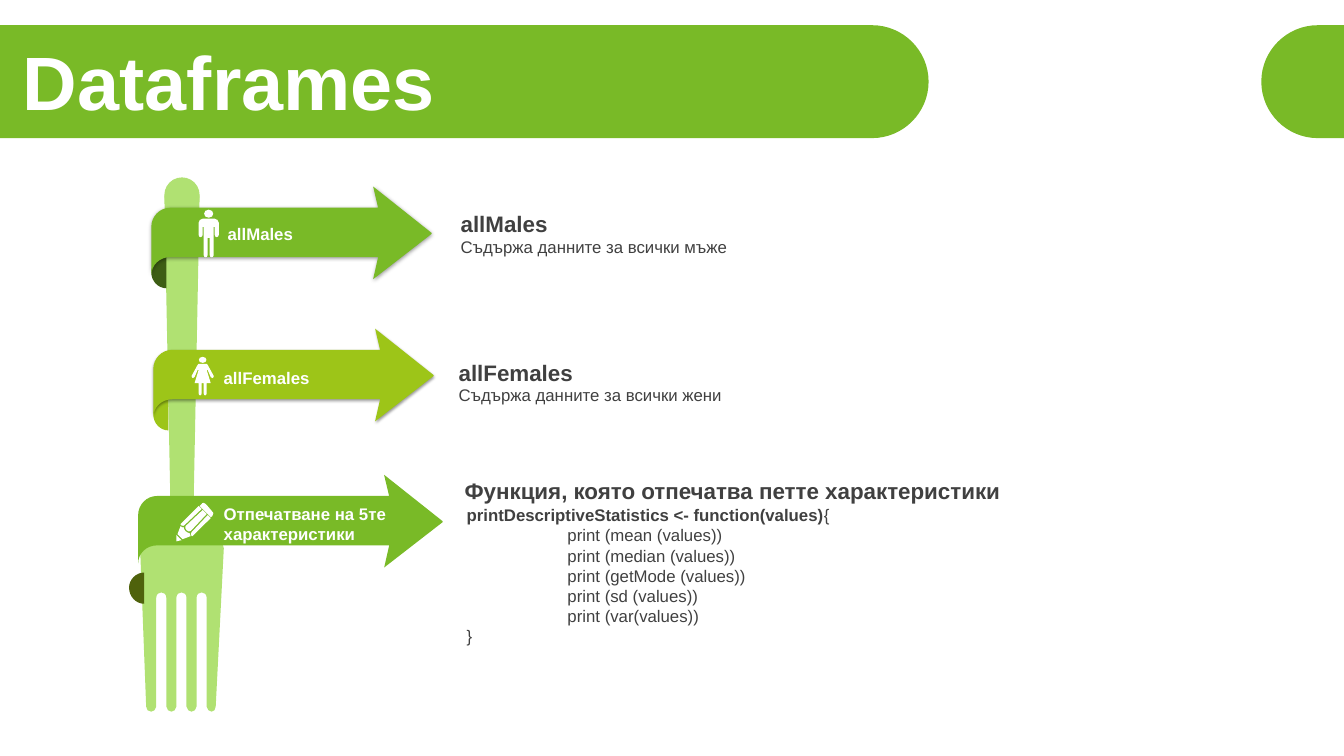
import math
import pptx
import pptx.util
import pptx.dml.color
import pptx.enum.shapes
import pptx.enum.text
import pptx.oxml.ns
import lxml.etree

Inches = pptx.util.Inches
RGBColor = pptx.dml.color.RGBColor
MSO_SHAPE = pptx.enum.shapes.MSO_SHAPE
qn = pptx.oxml.ns.qn

GREEN = RGBColor(0x79, 0xBA, 0x27)
LIME = RGBColor(0x9D, 0xC5, 0x18)
PALE = RGBColor(0xB0, 0xE1, 0x72)
DARK_GREEN = RGBColor(0x3D, 0x5D, 0x14)
OLIVE = RGBColor(0x4F, 0x62, 0x0C)
WHITE = RGBColor(0xFF, 0xFF, 0xFF)
GREY = RGBColor(0x40, 0x40, 0x40)

# Right halves of the two people: body, then head
MALE_HALF = """M 0 .09 L .06 .09 C .08 .09 .1 .11 .1 .13 L .1 .25
    C .1 .28 .06 .28 .06 .25 L .06 .17 L .05 .17 L .05 .45
    C .05 .48 .01 .48 .01 .45 L .01 .28 L 0 .28
    M 0 0 C .06 0 .06 .08 0 .08"""
FEMALE_HALF = """M 0 .07 L .04 .07 L .05 .08 L .11 .19 C .11 .22 .08 .21 .08 .2
    L .05 .13 L .04 .13 L .08 .26 L .04 .26 L .04 .36
    C .04 .39 .01 .39 .01 .36 L .01 .26 L 0 .26
    M 0 0 C .05 0 .05 .06 0 .06"""
PENCIL = """M 0 .32 L .05 .37 L 0 .38
    M .04 .23 C .05 .24 .07 .25 .07 .24 C .07 .25 .08 .27 .09 .28
    C .1 .29 .12 .3 .13 .3 C .13 .31 .13 .32 .14 .33 L .06 .36 L .01 .31
    M .31 .12 L .34 .15 L .16 .33 C .16 .33 .15 .33 .15 .33 C .14 .31 .14 .3 .15 .29
    M .26 .07 L .3 .11 L .14 .28 C .13 .29 .11 .28 .1 .27 C .09 .26 .08 .24 .09 .23
    M .22 .03 L .25 .06 L .08 .22 C .08 .23 .06 .23 .04 .22 L .04 .21
    M .27 0 C .28 0 .29 .01 .3 .02 L .35 .08 C .37 .09 .37 .11 .36 .12
    C .36 .13 .35 .14 .34 .14 L .23 .03 L .25 .01 C .25 0 .26 0 .27 0"""


def contours(d):
    """Read M, L and C commands into (points, kinds of segment) pairs."""
    result, tokens = [], iter(d.split())
    for command in tokens:
        pairs = 3 if command == "C" else 1
        pts = [(float(next(tokens)), float(next(tokens))) for _ in range(pairs)]
        if command == "M":
            result.append((pts, []))
        else:
            result[-1][0].extend(pts)
            result[-1][1].append(command)
    return result


def turned(point, angle):
    a, (x, y) = math.radians(angle), point
    return x * math.cos(a) - y * math.sin(a), x * math.sin(a) + y * math.cos(a)


def paint(sp, color):
    sp.shadow.inherit = False
    sp.fill.solid()
    sp.fill.fore_color.rgb = color
    sp.line.fill.background()
    return sp


def outline(s, x, y, parts, color, rotation=0):
    """Draw contours that appear at x, y, in a frame turned by rotation."""
    polygons = [[turned(pt, -rotation) for pt in pts] for pts, _ in parts]
    thousandths = [[(px * 1000, py * 1000) for px, py in pts] for pts in polygons]
    builder = s.shapes.build_freeform(*thousandths[0][0], scale=Inches(1) / 1000)
    for i, pts in enumerate(thousandths):
        if i:
            builder.move_to(*pts[0])
        builder.add_line_segments(pts[1:], close=True)
    sp = paint(builder.convert_to_shape(Inches(x), Inches(y)), color)
    # Join each curve's three points into one segment
    segments = iter(list(sp._element.iter(qn("a:lnTo"))))
    for kind in (k for _, kinds in parts for k in kinds):
        segment = next(segments)
        if kind == "C":
            segment.tag = qn("a:cubicBezTo")
            for _ in range(2):
                extra = next(segments)
                segment.append(extra[0])
                extra.getparent().remove(extra)
    # Centre the turned frame
    if rotation:
        axes = list(zip(*(pt for pts in polygons for pt in pts)))
        cx, cy = turned([(min(v) + max(v)) / 2 for v in axes], rotation)
        sp.left = Inches(x + cx) - sp.width // 2
        sp.top = Inches(y + cy) - sp.height // 2
        sp.rotation = rotation
    return sp


def preset(s, kind, x, y, w, h, color):
    return paint(s.shapes.add_shape(kind, Inches(x), Inches(y), Inches(w), Inches(h)), color)


def add_shadow(sp, blur):
    effects = sp._element.spPr.find(qn("a:effectLst"))
    shadow = lxml.etree.SubElement(
        effects, qn("a:outerShdw"), blurRad=str(pptx.util.Pt(blur)),
        dist=str(pptx.util.Pt(1)), dir="5400000", algn="t", rotWithShape="0")
    black = lxml.etree.SubElement(shadow, qn("a:srgbClr"), val="000000")
    lxml.etree.SubElement(black, qn("a:alpha"), val="40000")


def textbox(s, x, y, w, h, text, size, color, bold=False):
    tf = s.shapes.add_textbox(Inches(x), Inches(y), Inches(w), Inches(h)).text_frame
    tf.word_wrap = True
    tf.text = text
    for p in tf.paragraphs:
        for r in p.runs:
            style(r, size, color, bold)
    return tf


def style(r, size, color, bold):
    r.font.name = "Arial"
    r.font.size = pptx.util.Pt(size)
    r.font.bold = bold
    r.font.color.rgb = color


def header(s, x, y, w, h):
    # Bands rounded on the side facing the gap
    band, tab, r = 9.21, 0.82, h / 2
    k = r * 0.45
    outline(s, x, y, contours(
        f"M 0 0 L {band - r} 0 C {band - k} 0 {band} {k} {band} {r} "
        f"C {band} {h - k} {band - k} {h} {band - r} {h} L 0 {h}"), GREEN)
    outline(s, x + w - tab, y, contours(
        f"M {tab} 0 L {r} 0 C {k} 0 0 {k} 0 {r} "
        f"C 0 {h - k} {k} {h} {r} {h} L {tab} {h}"), GREEN)
    # Title
    tf = textbox(s, x + 0.13, y + 0.21, 12.33, 0.79, "Dataframes", 54, WHITE, True)
    tf.vertical_anchor = pptx.enum.text.MSO_ANCHOR.MIDDLE
    tf.paragraphs[0].line_spacing = 0.9
    tf.paragraphs[0].space_before = pptx.util.Pt(10)


def fork(s, x, y):
    # Handle
    handle = preset(s, MSO_SHAPE.TRAPEZOID, x + 0.24, y + 0.18, 0.35, 3.06, PALE)
    handle.rotation = 180
    handle.adjustments[0] = 0.172
    preset(s, MSO_SHAPE.OVAL, x + 0.24, y, 0.35, 0.35, PALE)
    # Head with three slots between four tines
    d = "M .75 2.02 C .75 2.05 .73 2.07 .71 2.07 "
    for slot in (0.61, 0.41, 0.21):
        a, b = slot + 0.05, slot - 0.05
        d += (f"C {a + .03} 2.07 {a} 2.05 {a} 2.02 L {a} .94 C {a} .87 {b} .87 {b} .94 "
              f"L {b} 2.02 C {b} 2.05 {b - .03} 2.07 {b - .05} 2.07 ")
    d += ("C .08 2.07 .06 2.05 .06 2.02 L 0 .45 C 0 .36 .2 .15 .3 0 "
          "L .53 0 C .63 .15 .83 .37 .83 .45")
    outline(s, x, y + 3.23, contours(d), PALE)


def ribbon(s, x, y, w, color, fold_color, fold_at=(0, 0.7), blur=None):
    outline(s, x + fold_at[0], y + fold_at[1], contours(
        "M .15 0 L .15 .31 C .07 .31 0 .24 0 .15 C 0 .07 .07 0 .15 0"), fold_color)
    head, neck = w - 0.58, w - 0.53
    arrow = outline(s, x, y, contours(
        f"M {head} 0 L {w} .46 L {w} .47 L {head} .92 L {neck} .7 L .19 .7 "
        f"C .08 .7 0 .78 0 .88 L 0 .4 C 0 .3 .08 .21 .19 .21 L {neck} .21"), color, 225)
    if blur:
        add_shadow(arrow, blur)


def person(s, x, y, half):
    parts = []
    for pts, kinds in contours(half):
        left = [(-px, py) for px, py in reversed(pts)]
        parts.append((pts + left[1:], kinds + kinds[::-1]))
    outline(s, x, y, parts, WHITE)


def label(s, x, y, w, h, text):
    textbox(s, x, y, w, h, text, 12, WHITE, True)


def description(s, x, y, heading, body, dx=0, dy=0.26, h=0.3):
    tf = textbox(s, x + dx, y + dy, 7.92, h, body, 12, GREY)
    textbox(s, x, y, 7.92, 0.37, heading, 16, GREY, True)
    return tf


def dataframes_slide(prs):
    s = prs.slides.add_slide(prs.slide_layouts[6])
    header(s, 0, 0.25, 13.33, 1.12)
    fork(s, 1.39, 1.76)

    # Males
    ribbon(s, 1.5, 1.85, 2.78, GREEN, DARK_GREEN, blur=3)
    person(s, 2.07, 2.08, MALE_HALF)
    label(s, 2.16, 2.17, 1.73, 0.3, "allMales")
    description(s, 4.47, 2.04, "allMales", "Съдържа данните за всички мъже")

    # Females
    ribbon(s, 1.52, 3.26, 2.78, LIME, LIME, blur=2)
    person(s, 2.01, 3.54, FEMALE_HALF)
    label(s, 2.12, 3.6, 1.73, 0.3, "allFemales")
    description(s, 4.45, 3.51, "allFemales", "Съдържа данните за всички жени")

    # Printing function
    ribbon(s, 1.37, 4.71, 3.02, GREEN, OLIVE, fold_at=(-0.09, 0.97))
    outline(s, 1.75, 4.99, contours(PENCIL), WHITE, 45)
    label(s, 2.12, 4.95, 2.59, 0.5, "Отпечатване на 5те характеристики")
    calls = ["mean (values)", "median (values)", "getMode (values)", "sd (values)", "var(values)"]
    code = ["printDescriptiveStatistics <- function(values)"]
    code += [f"print ({call})" for call in calls] + ["}"]
    tf = description(s, 4.51, 4.68, "Функция, която отпечатва петте характеристики",
                     "\n".join(code), dx=0.02, dy=0.28, h=1.51)
    for p in tf.paragraphs[1:-1]:
        p._p.get_or_add_pPr().set("marL", str(Inches(1)))
    p = tf.paragraphs[0]
    p.runs[0].font.bold = True
    r = p.add_run()
    r.text = "{"
    style(r, 12, GREY, False)


def main():
    prs = pptx.Presentation()
    prs.slide_width, prs.slide_height = Inches(13.33), Inches(7.5)
    dataframes_slide(prs)
    prs.save("out.pptx")


if __name__ == "__main__":
    main()
